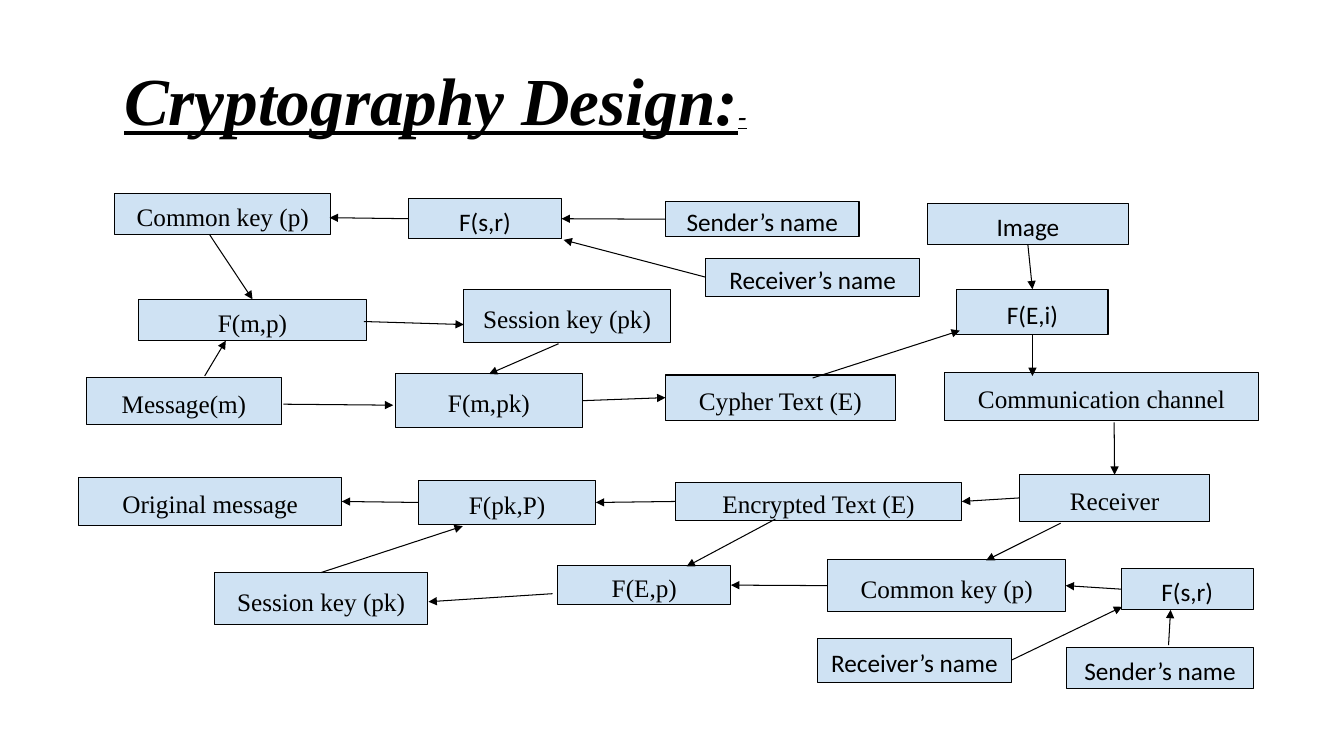
from pptx import Presentation
from pptx import util as u
from pptx.dml.color import RGBColor
from pptx.enum import shapes, text
from pptx.oxml.ns import qn
from lxml import etree

PX = 9144  # 100 px to the inch
BLACK = RGBColor(0x00, 0x00, 0x00)
PALE_BLUE = RGBColor(0xCF, 0xE2, 0xF3)
SERIF, SANS = "Times New Roman", "Calibri"
TOP, LEFT, BOTTOM, RIGHT = range(4)

# name: (label, font, left, top, width, height)
BOXES = {
    "sender name": ("Sender’s name", SANS, 660, 200, 192, 35),
    "receiver name": ("Receiver’s name", SANS, 700, 256, 212, 38),
    "sender key function": ("F(s,r)", SANS, 405, 197, 152, 40),
    "sender common key": ("Common key (p)", SERIF, 114, 192, 214, 41),
    "message": ("Message(m)", SERIF, 86, 375, 193, 46),
    "key mixer": ("F(m,p)", SERIF, 137, 297, 227, 41),
    "sender session key": ("Session key (pk)", SERIF, 460, 287, 205, 53),
    "encryption": ("F(m,pk)", SERIF, 392, 371, 186, 53),
    "cypher text": ("Cypher Text (E)", SERIF, 660, 372, 228, 45),
    "image": ("Image", SANS, 920, 202, 199, 41),
    "embedding": ("F(E,i)", SANS, 949, 287, 150, 45),
    "channel": ("Communication channel", SERIF, 937, 370, 311, 47),
    "receiver": ("Receiver", SERIF, 1011, 471, 189, 46),
    "encrypted text": ("Encrypted Text (E)", SERIF, 670, 479, 284, 37),
    "decryption": ("F(pk,P)", SERIF, 415, 477, 176, 43),
    "original message": ("Original message", SERIF, 78, 474, 261, 47),
    "receiver session key": ("Session key (pk)", SERIF, 213, 568, 211, 52),
    "key extraction": ("F(E,p)", SERIF, 553, 561, 172, 39),
    "receiver common key": ("Common key (p)", SERIF, 821, 555, 236, 52),
    "receiver key function": ("F(s,r)", SANS, 1112, 564, 131, 41),
    "lower receiver name": ("Receiver’s name", SANS, 811, 633, 192, 44),
    "lower sender name": ("Sender’s name", SANS, 1058, 642, 185, 41),
}

# Each end is (box name, side) when joined, or (x, y) when free.
ARROWS = [
    (("sender name", LEFT), ("sender key function", RIGHT)),
    (("receiver name", LEFT), (559, 238)),
    (("sender key function", LEFT), (327, 216)),
    ((208, 233), ("key mixer", TOP)),
    ((203, 373), (224, 338)),
    ((361, 319), (460, 322)),
    ((554, 341), ("encryption", TOP)),
    ((281, 401), (390, 402)),
    (("encryption", RIGHT), ("cypher text", LEFT)),
    ((806, 375), (952, 328)),
    (("image", BOTTOM), ("embedding", TOP)),
    (("embedding", BOTTOM), (1024, 373)),
    ((1105, 419), ("receiver", TOP)),
    (("receiver", LEFT), ("encrypted text", RIGHT)),
    ((1052, 519), (978, 556)),
    (("encrypted text", LEFT), ("decryption", RIGHT)),
    ((769, 515), (681, 562)),
    (("decryption", LEFT), ("original message", RIGHT)),
    (("receiver common key", LEFT), ("key extraction", RIGHT)),
    ((548, 589), (425, 597)),
    (("receiver session key", TOP), (459, 522)),
    (("receiver key function", LEFT), ("receiver common key", RIGHT)),
    (("lower receiver name", RIGHT), (1113, 602)),
    ((1159, 640), (1161, 605)),
]


def set_all(target, values):
    for name, value in values.items():
        setattr(target, name, value)


class FlowSlide:
    def __init__(self, slide):
        self.slide = slide
        self.boxes = {}
        self.line_width = u.Pt(0.75)
        self.label_size = u.Pt(18)

    def style_line(self, line):
        line.color.rgb = BLACK
        line.width = self.line_width

    def title(self, runs, left, top, width, height):
        shape = self.slide.shapes.title
        set_all(shape, {"left": left * PX, "top": top * PX,
                        "width": width * PX, "height": height * PX})
        set_all(shape.text_frame, {
            "word_wrap": True,
            "vertical_anchor": text.MSO_ANCHOR.TOP,
            "auto_size": text.MSO_AUTO_SIZE.SHAPE_TO_FIT_TEXT})
        paragraph = shape.text_frame.paragraphs[0]
        paragraph.alignment = text.PP_ALIGN.LEFT
        for words, size in runs:
            run = paragraph.add_run()
            run.text = words
            set_all(run.font, {"name": SERIF, "size": u.Pt(size), "bold": True,
                               "italic": True, "underline": True})
            run.font.color.rgb = BLACK

    def box(self, name, label, font, left, top, width, height):
        shape = self.slide.shapes.add_shape(
            shapes.MSO_SHAPE.RECTANGLE,
            left * PX, top * PX, width * PX, height * PX)
        shape.shadow.inherit = False
        shape.fill.solid()
        shape.fill.fore_color.rgb = PALE_BLUE
        self.style_line(shape.line)
        frame = shape.text_frame
        set_all(frame, {"word_wrap": True,
                        "vertical_anchor": text.MSO_ANCHOR.MIDDLE})
        for side in ("left", "top", "right", "bottom"):
            setattr(frame, f"margin_{side}", 10 * PX)
        paragraph = frame.paragraphs[0]
        set_all(paragraph, {"alignment": text.PP_ALIGN.CENTER,
                            "line_spacing": 1.15})
        run = paragraph.add_run()
        run.text = label
        set_all(run.font, {"name": font, "size": self.label_size})
        run.font.color.rgb = BLACK
        self.boxes[name] = shape

    def locate(self, end):
        """Return the EMU point of an arrow end."""
        if end[0] not in self.boxes:
            return end[0] * PX, end[1] * PX
        shape, side = self.boxes[end[0]], end[1]
        across = {LEFT: 0, RIGHT: shape.width}.get(side, shape.width // 2)
        down = {TOP: 0, BOTTOM: shape.height}.get(side, shape.height // 2)
        return shape.left + across, shape.top + down

    def arrow(self, start, end):
        connector = self.slide.shapes.add_connector(
            shapes.MSO_CONNECTOR.STRAIGHT,
            *self.locate(start), *self.locate(end))
        self.style_line(connector.line)
        properties = connector._element.spPr
        etree.SubElement(properties.find(qn("a:ln")), qn("a:tailEnd"),
                         type="triangle")
        etree.SubElement(properties, qn("a:effectLst"))
        for point, join in ((start, connector.begin_connect),
                            (end, connector.end_connect)):
            if point[0] in self.boxes:
                join(self.boxes[point[0]], point[1])


def main():
    presentation = Presentation()
    presentation.slide_width = 1333 * PX
    presentation.slide_height = 750 * PX
    title_only = presentation.slide_layouts[5]
    flow = FlowSlide(presentation.slides.add_slide(title_only))
    flow.title([("Cryptography Design:", 48), ("-", 18)], 113, 53, 715, 91)
    for name, details in BOXES.items():
        flow.box(name, *details)
    for start, end in ARROWS:
        flow.arrow(start, end)
    presentation.save("out.pptx")


if __name__ == "__main__":
    main()
